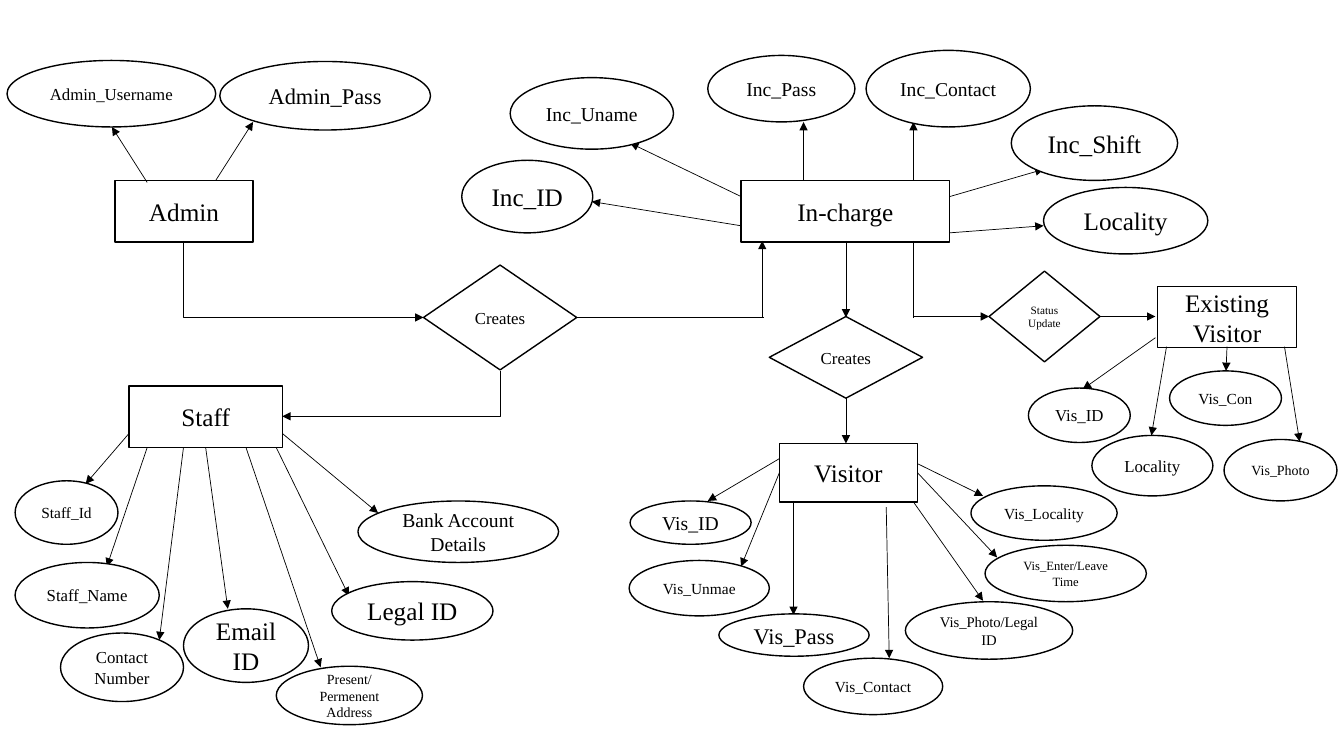
from lxml.etree import SubElement
from pptx import Presentation
from pptx.dml.color import RGBColor
from pptx.enum.shapes import MSO_CONNECTOR, MSO_SHAPE
from pptx.enum.text import MSO_ANCHOR, PP_ALIGN
from pptx.oxml.ns import qn
from pptx.util import Cm, Pt


def color(hex_string):
    return RGBColor.from_string(hex_string)


def length(inches):
    """The diagram is laid out in inches."""
    return Cm(inches * 2.54)


class Diagram:
    font, ink, paper = "Times New Roman", "000000", "FFFFFF"
    outline, thin = Pt(1), Pt(0.5)

    def __init__(self, page):
        self.page = page

    def node(self, kind, text, size, place):
        box = self.page.shapes.add_shape(kind, *map(length, place))
        box.shadow.inherit = False
        box.fill.solid()
        box.fill.fore_color.rgb = color(self.paper)
        box.line.color.rgb = color(self.ink)
        box.line.width = self.outline
        frame = box.text_frame
        frame.word_wrap = True
        frame.vertical_anchor = MSO_ANCHOR.MIDDLE
        frame.text = text
        para = frame.paragraphs[0]
        para.alignment = PP_ALIGN.CENTER
        for span in para.runs:
            span.font.name = self.font
            span.font.size = Pt(size)
            span.font.color.rgb = color(self.ink)

    def entity(self, text, place):
        self.node(MSO_SHAPE.RECTANGLE, text, 18, place)

    def relation(self, text, size, place):
        self.node(MSO_SHAPE.DIAMOND, text, size, place)

    def attributes(self, rows):
        """Draw each arrow, then the oval it leads to."""
        for text, size, place, start, end in rows:
            self.line(start, end)
            self.node(MSO_SHAPE.OVAL, text, size, place)

    def style_line(self, connector, arrow):
        connector.line.color.rgb = color(self.ink)
        connector.line.width = self.thin
        if arrow:
            SubElement(connector.line._get_or_add_ln(), qn("a:tailEnd"), type="triangle")
        SubElement(connector._element.spPr, qn("a:effectLst"))

    def line(self, start, end, arrow=True):
        connector = self.page.shapes.add_connector(
            MSO_CONNECTOR.STRAIGHT, *map(length, start + end))
        self.style_line(connector, arrow)

    def elbow(self, start, end):
        """Go down from start, then sideways to end: a turned one-bend connector."""
        (x1, y1), (x2, y2) = start, end
        wide, high = abs(y2 - y1), abs(x2 - x1)
        left, top = (x1 + x2 - wide) / 2, (y1 + y2 - high) / 2
        rightward = x2 > x1
        near, far = (left + wide, left) if rightward else (left, left + wide)
        connector = self.page.shapes.add_connector(
            MSO_CONNECTOR.ELBOW, *map(length, (near, top, far, top + high)))
        properties = connector._element.spPr
        properties.find(qn("a:prstGeom")).set("prst", "bentConnector2")
        properties.find(qn("a:xfrm")).set("rot", str((270 if rightward else 90) * 60000))
        self.style_line(connector, True)


deck = Presentation()
deck.slide_width, deck.slide_height = length(13.33), length(7.5)
diagram = Diagram(deck.slides.add_slide(deck.slide_layouts[6]))

# Admin
diagram.entity("Admin", (1.14, 1.79, 1.37, 0.61))
diagram.attributes([
    ("Admin_Username", 12, (0.07, 0.6, 2.07, 0.66), (1.46, 1.81), (1.11, 1.26)),
    ("Admin_Pass", 16, (2.18, 0.61, 2.09, 0.68), (2.14, 1.79), (2.51, 1.21)),
])

# In-charge
diagram.entity("In-charge", (7.35, 1.79, 2.07, 0.61))
diagram.attributes([
    ("Inc_ID", 18, (4.58, 1.59, 1.3, 0.72), (7.35, 2.24), (5.87, 2)),
    ("Inc_Uname", 14, (5.06, 0.77, 1.62, 0.71), (7.35, 1.95), (6.25, 1.42)),
    ("Inc_Pass", 14, (7.02, 0.55, 1.46, 0.66), (7.97, 1.79), (7.97, 1.21)),
    ("Inc_Contact", 14, (8.59, 0.5, 1.63, 0.76), (9.06, 1.79), (9.06, 1.21)),
    ("Inc_Shift", 18, (10.03, 1.05, 1.65, 0.74), (9.42, 1.95), (10.35, 1.68)),
    ("Locality", 18, (10.35, 1.86, 1.63, 0.66), (9.42, 2.31), (10.35, 2.24)),
])

# Admin creates staff and in-charge
diagram.relation("Creates", 12, (4.2, 2.63, 1.52, 1.04))
diagram.elbow((1.82, 2.39), (4.2, 3.15))
diagram.elbow((4.96, 3.68), (2.8, 4.13))
diagram.line((5.72, 3.15), (7.58, 3.15), arrow=False)
diagram.line((7.56, 3.15), (7.56, 2.39))

# Staff
diagram.entity("Staff", (1.28, 3.83, 1.52, 0.61))
diagram.attributes([
    ("Staff_Id", 11, (0.15, 4.77, 1.02, 0.63), (1.28, 4.3), (0.85, 4.8)),
    ("Staff_Name", 12, (0.15, 5.58, 1.43, 0.65), (1.46, 4.44), (1.06, 5.62)),
    ("Contact Number", 12, (0.6, 6.28, 1.22, 0.68), (1.82, 4.44), (1.58, 6.35)),
    ("Email ID", 18, (1.82, 6.04, 1.24, 0.73), (2.04, 4.44), (2.26, 6.04)),
    ("Present/Permenent Address", 10, (2.74, 6.61, 1.45, 0.58), (2.44, 4.44), (3.18, 6.62)),
    ("Legal ID", 18, (3.29, 5.77, 1.6, 0.58), (2.74, 4.44), (3.46, 5.91)),
    ("Bank Account Details", 14, (3.55, 4.97, 1.99, 0.61), (2.8, 4.3), (3.75, 5.09)),
])

# In-charge updates the status of an existing visitor
diagram.line((9.06, 2.39), (9.06, 3.15), arrow=False)
diagram.line((9.06, 3.14), (9.81, 3.14))
diagram.relation("Status Update", 8, (9.81, 2.69, 1.1, 0.9))
diagram.line((10.91, 3.14), (11.46, 3.14))
diagram.entity("Existing Visitor", (11.48, 2.84, 1.38, 0.61))
diagram.attributes([
    ("Vis_ID", 12, (10.2, 3.85, 1.01, 0.54), (11.46, 3.35), (10.74, 3.86)),
    ("Locality", 12, (10.83, 4.32, 1.2, 0.6), (11.57, 3.44), (11.42, 4.32)),
    ("Vis_Con", 11, (11.6, 3.68, 1.11, 0.54), (12.17, 3.44), (12.16, 3.68)),
    ("Vis_Photo", 10, (12.14, 4.36, 1.12, 0.61), (12.74, 3.44), (12.89, 4.38)),
])

# In-charge creates a visitor
diagram.line((8.39, 2.39), (8.39, 3.15))
diagram.relation("Creates", 12, (7.63, 3.14, 1.52, 0.81))
diagram.line((8.39, 3.95), (8.39, 4.4))
diagram.entity("Visitor", (7.73, 4.4, 1.37, 0.58))
diagram.attributes([
    ("Vis_ID", 14, (6.25, 4.97, 1.2, 0.43), (7.73, 4.55), (7.02, 4.97)),
    ("Vis_Unmae", 11, (6.24, 5.56, 1.39, 0.55), (7.73, 4.69), (7.35, 5.62)),
    ("Vis_Pass", 16, (7.13, 6.09, 1.49, 0.42), (7.87, 4.97), (7.87, 6.1)),
    ("Vis_Contact", 11, (7.97, 6.53, 1.38, 0.56), (8.79, 5.03), (8.82, 6.53)),
    ("Vis_Locality", 11, (9.63, 4.82, 1.45, 0.54), (9.1, 4.6), (9.75, 4.92)),
    ("Vis_Enter/Leave Time", 9, (9.77, 5.41, 1.6, 0.56), (9.1, 4.69), (9.89, 5.53)),
    ("Vis_Photo/Legal ID", 10.5, (8.98, 5.97, 1.66, 0.57), (9.06, 4.98), (9.75, 5.96)),
])

deck.save("out.pptx")
